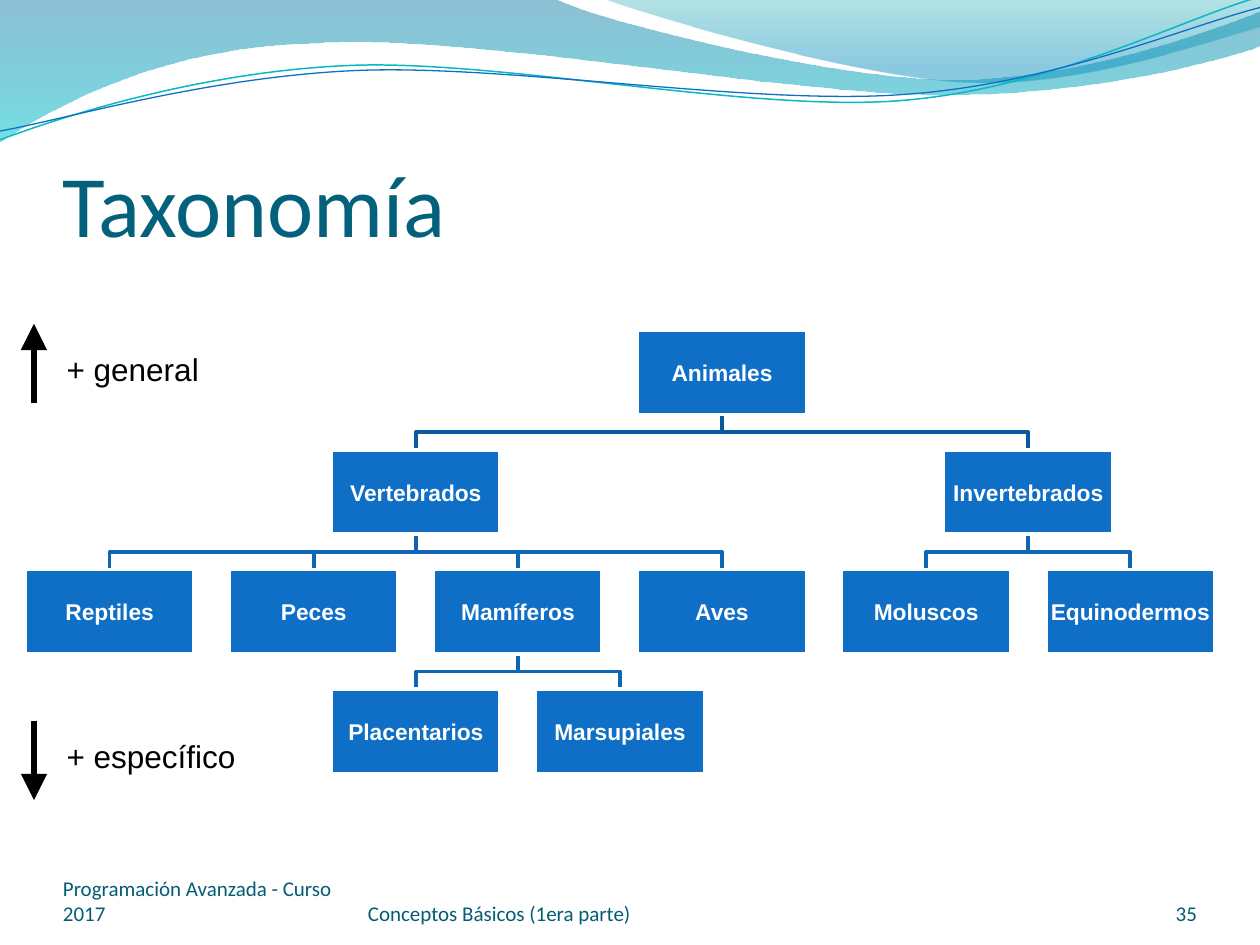
from math import cos, radians, sin

from lxml import etree
from pptx import Presentation
from pptx.dml.color import RGBColor
from pptx.enum import shapes, text
from pptx.oxml.ns import qn
from pptx.util import Inches, Pt

WHITE = RGBColor(0xFF, 0xFF, 0xFF)
BLACK = RGBColor(0, 0, 0)
BLUE = RGBColor(0x0F, 0x6F, 0xC6)
TEAL = RGBColor(0x0A, 0xB8, 0xBF)
TITLE_TEAL = RGBColor(0x04, 0x61, 0x7B)
FOOTER_TEAL = RGBColor(0x04, 0x5D, 0x75)
ROOT_BRANCH = RGBColor(0x0C, 0x59, 0x9F)
BRANCH = RGBColor(0x0E, 0x65, 0xB4)

BOX_W, BOX_H = 1.34, 0.67
FIRST_CENTER, COLUMN_STEP = 0.87, 1.62
FIRST_TOP, ROW_STEP = 2.62, 0.95
RIPPLE_TILT = 2.7

# Name, column, level, parent
TAXA = [
    ("Animales", 3, 0, None),
    ("Vertebrados", 1.5, 1, "Animales"),
    ("Invertebrados", 4.5, 1, "Animales"),
    ("Reptiles", 0, 2, "Vertebrados"),
    ("Peces", 1, 2, "Vertebrados"),
    ("Mamíferos", 2, 2, "Vertebrados"),
    ("Aves", 3, 2, "Vertebrados"),
    ("Moluscos", 4, 2, "Invertebrados"),
    ("Equinodermos", 5, 2, "Invertebrados"),
    ("Placentarios", 1.5, 3, "Mamíferos"),
    ("Marsupiales", 2.5, 3, "Mamíferos"),
]

# Each step is a list of points: one for a straight step, three for a Bézier.
BACK_WAVE = [
    [(0, 0)], [(4.4, -0.01)], [(4.76, 0.17), (6.64, 0.63), (7.58, 0.63)],
    [(8.53, 0.63), (9.58, 0.26), (10, 0.09)], [(10.01, 0.36)],
    [(9.83, 0.44), (8.7, 0.76), (7.46, 0.75)],
    [(6.22, 0.75), (3.82, 0.28), (2.57, 0.34)],
    [(1.29, 0.36), (0.46, 0.83), (-0.01, 1.13)],
]
FRONT_WAVE = [
    [(4.79, -0.01)], [(5.09, 0.11), (6.82, 0.62), (7.69, 0.65)],
    [(8.56, 0.69), (9.61, 0.32), (10, 0.21)], [(10, 0)],
]
TEAL_RIPPLE = [
    [(0, 1.11)], [(0.48, 0.93), (1.58, 0.57), (2.77, 0.52)],
    [(3.95, 0.47), (5.93, 0.89), (7.13, 0.8)],
    [(8.33, 0.71), (9.38, 0.15), (9.98, -0.02)],
]
BLUE_RIPPLE = [
    [(0, 1.04)], [(0.47, 0.96), (1.64, 0.61), (2.83, 0.56)],
    [(4.03, 0.51), (5.97, 0.84), (7.17, 0.75)],
    [(8.36, 0.67), (9.41, 0.21), (10, 0.06)],
]


def add_outline(slide, steps, close=False):
    steps = [[(Inches(x), Inches(y)) for x, y in step] for step in steps]
    ends = [step[-1] for step in steps]
    builder = slide.shapes.build_freeform(*ends[0], scale=1.0)
    builder.add_line_segments(ends[1:], close=close)
    outline = builder.convert_to_shape()
    outline.shadow.inherit = False
    segments = list(outline._element.spPr.iter(qn("a:lnTo")))
    for segment, step in zip(segments, steps[1:]):
        if len(step) == 3:
            curve = etree.Element(qn("a:cubicBezTo"))
            for x, y in step:
                point = etree.SubElement(curve, qn("a:pt"))
                point.set("x", str(x - outline.left))
                point.set("y", str(y - outline.top))
            segment.getparent().replace(segment, curve)
    return outline


def add_stroke(slide, steps, color, width):
    stroke = add_outline(slide, steps)
    stroke.fill.background()
    stroke.line.color.rgb = color
    stroke.line.width = Pt(width)
    return stroke


def add_ripple(slide, steps, center, color, width):
    """Level the curve about its center, then tilt the finished shape."""
    c, s = cos(radians(RIPPLE_TILT)), sin(radians(RIPPLE_TILT))
    cx, cy = center
    level = [[(cx + (x - cx) * c - (y - cy) * s, cy + (x - cx) * s + (y - cy) * c)
              for x, y in step] for step in steps]
    add_stroke(slide, level, color, width).rotation = 360 - RIPPLE_TILT


def add_wave(slide, steps, stops):
    """Add a closed wave; stops are (position, colour, opacity in percent)."""
    wave = add_outline(slide, steps, close=True)
    wave.line.fill.background()
    wave.fill.gradient()
    wave.fill.gradient_angle = 270
    for stop, (position, color, _) in zip(wave.fill.gradient_stops, stops):
        stop.position = position
        stop.color.rgb = RGBColor.from_string(color)
    colors = wave._element.spPr.iter(qn("a:srgbClr"))
    for color, (_, _, opacity) in zip(colors, stops):
        etree.SubElement(color, qn("a:alpha")).set("val", str(opacity * 1000))


def write(holder, content, size, color, font="Arial", bold=False, wrap=True,
          align=text.PP_ALIGN.LEFT, anchor=text.MSO_ANCHOR.TOP,
          insets=(0.1, 0.05, 0.1, 0.05)):
    frame = holder.text_frame
    frame.word_wrap = wrap
    frame.vertical_anchor = anchor
    (frame.margin_left, frame.margin_top,
     frame.margin_right, frame.margin_bottom) = map(Inches, insets)
    paragraph = frame.paragraphs[0]
    paragraph.alignment = align
    run = paragraph.add_run()
    run.text = content
    run.font.name = font
    run.font.size = Pt(size)
    run.font.bold = bold
    run.font.color.rgb = color


def add_text(slide, place, content, size, color, **style):
    write(slide.shapes.add_textbox(*map(Inches, place)), content, size, color, **style)


def add_taxon(slide, name, center, top):
    box = slide.shapes.add_shape(
        shapes.MSO_SHAPE.RECTANGLE, Inches(center - BOX_W / 2), Inches(top),
        Inches(BOX_W), Inches(BOX_H))
    box.shadow.inherit = False
    box.fill.solid()
    box.fill.fore_color.rgb = BLUE
    box.line.color.rgb = WHITE
    box.line.width = Pt(2)
    write(box, name, 13, WHITE, bold=True, align=text.PP_ALIGN.CENTER,
          anchor=text.MSO_ANCHOR.MIDDLE, insets=(0.01,) * 4)


def add_tree(slide):
    places = {name: (FIRST_CENTER + column * COLUMN_STEP, FIRST_TOP + level * ROW_STEP)
              for name, column, level, _ in TAXA}
    for name, _, level, parent in reversed(TAXA):
        if parent:
            x, top = places[name]
            parent_x, parent_top = places[parent]
            bottom = parent_top + BOX_H
            bend = (bottom + top) / 2
            add_stroke(slide, [[(parent_x, bottom)], [(parent_x, bend)], [(x, bend)], [(x, top)]],
                       ROOT_BRANCH if level == 1 else BRANCH, 2)
    for name, place in places.items():
        add_taxon(slide, name, *place)


def add_arrow(slide, x, start, end):
    arrow = slide.shapes.add_connector(
        shapes.MSO_CONNECTOR.STRAIGHT, Inches(x), Inches(start), Inches(x), Inches(end))
    arrow.line.color.rgb = BLACK
    arrow.line.width = Pt(3)
    head = etree.SubElement(arrow.line._get_or_add_ln(), qn("a:tailEnd"))
    for key, value in (("type", "triangle"), ("w", "lg"), ("len", "lg")):
        head.set(key, value)
    etree.SubElement(arrow._element.spPr, qn("a:effectLst"))


def main():
    deck = Presentation()
    deck.slide_width, deck.slide_height = Inches(10), Inches(7.5)
    slide = deck.slides.add_slide(deck.slide_layouts[6])

    add_wave(slide, BACK_WAVE, [(0, "0074A1", 45), (1, "00C6CF", 55)])
    add_wave(slide, FRONT_WAVE, [(0, "00A1A9", 30), (0.8, "008BBF", 45)])
    add_ripple(slide, TEAL_RIPPLE, (4.99, 0.57), TEAL, 0.85)
    add_ripple(slide, BLUE_RIPPLE, (5, 0.59), BLUE, 0.75)

    add_text(slide, (0.5, 0.77, 9, 1.25), "Taxonomía", 50, TITLE_TEAL, font="Calibri",
             anchor=text.MSO_ANCHOR.BOTTOM, insets=(0, 0.05, 0, 0))
    add_tree(slide)

    add_arrow(slide, 0.27, 5.72, 6.35)
    add_text(slide, (0.43, 5.8, 1.54, 0.4), "+ específico", 18, BLACK, wrap=False)
    add_arrow(slide, 0.27, 3.2, 2.57)
    add_text(slide, (0.43, 2.73, 1.25, 0.4), "+ general", 18, BLACK, wrap=False)

    for left, width, content, align in [
        (0.5, 2.33, "Programación Avanzada - Curso 2017", text.PP_ALIGN.LEFT),
        (2.92, 3.67, "Conceptos Básicos (1era parte)", text.PP_ALIGN.LEFT),
        (8.67, 0.83, "35", text.PP_ALIGN.RIGHT),
    ]:
        add_text(slide, (left, 6.95, width, 0.4), content, 12, FOOTER_TEAL, font="Calibri",
                 align=align, anchor=text.MSO_ANCHOR.BOTTOM, insets=(0,) * 4)

    deck.save("out.pptx")


if __name__ == "__main__":
    main()
